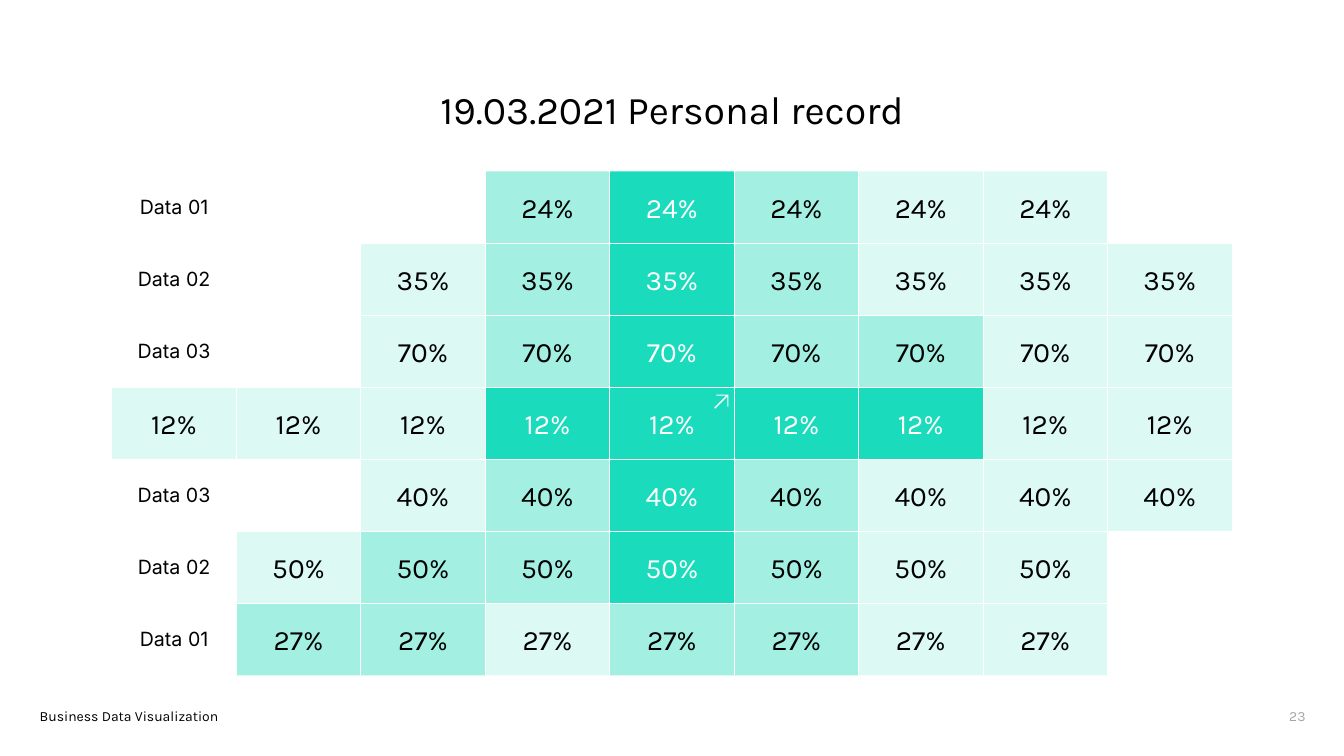
from pptx import Presentation
from pptx.dml.color import RGBColor
from pptx.enum.shapes import MSO_CONNECTOR as Link, MSO_SHAPE as Form
from pptx.enum.text import MSO_ANCHOR as Anchor, MSO_AUTO_SIZE as Fit, PP_ALIGN as Align
from pptx.oxml.ns import qn
from pptx.util import Inches, Pt
from lxml.etree import SubElement

TEAL = RGBColor(0x1A, 0xDB, 0xBB)
BLACK = RGBColor(0, 0, 0)
WHITE = RGBColor(0xFF, 0xFF, 0xFF)
GREY = RGBColor(0xA6, 0xA6, 0xA6)

# Grid of the heat map
LEFT, TOP = 1.11, 1.7
COLS, ROWS = 9, 7
WIDE, HIGH = 11.11 / COLS, 5 / ROWS

# Shade letter: share of teal in percent, text colour
SHADES = {"d": (100, WHITE), "m": (40, BLACK), "l": (15, BLACK)}
# Label, value, one shade letter per column (a dot is an empty cell)
DATA = [
    ("Data 01", "24%", "...mdmll."),
    ("Data 02", "35%", "..lmdmlll"),
    ("Data 03", "70%", "..lmdmmll"),
    (None, "12%", "lllddddll"),
    ("Data 03", "40%", "..lmdmlll"),
    ("Data 02", "50%", ".lmmdmll."),
    ("Data 01", "27%", ".mmlmmll."),
]
# Arrow outline in hundredths of an inch
ARROW = [(13, 0), (14, 0), (14, 12), (13, 12), (13, 2), (1, 14),
         (0, 13), (12, 1), (2, 1), (2, 0)]


class Board:
    def __init__(self, slide):
        self.slide = slide
        self.shapes = slide.shapes
        self.font = "Karla"

    def spot(self, col, row):
        return Inches(LEFT + col * WIDE), Inches(TOP + row * HIGH)

    def area(self, col, row, cols, rows):
        return *self.spot(col, row), Inches(cols * WIDE), Inches(rows * HIGH)

    def letter(self, shape, text, size, color, align, font=None):
        shape.text_frame.text = text
        para = shape.text_frame.paragraphs[0]
        para.alignment = align
        para.line_spacing = 1.0
        para.font.name = font or self.font
        para.font.size = Pt(size)
        para.font.color.rgb = color

    def title(self, text, *area):
        head = self.shapes.title
        head.left, head.top, head.width, head.height = self.area(*area)
        self.letter(head, text, 28, BLACK, Align.CENTER)
        head.text_frame.vertical_anchor = Anchor.TOP
        head.text_frame.auto_size = Fit.NONE

    def text(self, text, area, size, color=BLACK, align=Align.LEFT,
             font=None, wrap=False):
        box = self.shapes.add_textbox(*self.area(*area))
        box.text_frame.word_wrap = wrap
        self.letter(box, text, size, color, align, font)

    def paint(self, shape, color):
        shape.shadow.inherit = False
        shape.fill.solid()
        shape.fill.fore_color.rgb = color
        shape.line.fill.background()

    def cell(self, text, col, row, shade):
        share, color = SHADES[shade]
        box = self.shapes.add_shape(Form.RECTANGLE, *self.area(col, row, 1, 1))
        self.paint(box, TEAL)
        if share < 100:
            tint = box._element.spPr.find(qn("a:solidFill"))[0]
            SubElement(tint, qn("a:alpha"), val=str(share * 1000))
        box.text_frame.vertical_anchor = Anchor.MIDDLE
        self.letter(box, text, 20, color, Align.CENTER)

    def line(self, start, end):
        rule = self.shapes.add_connector(
            Link.STRAIGHT, *self.spot(*start), *self.spot(*end))
        rule.line.color.rgb = WHITE
        rule.line.width = Pt(0.5)
        SubElement(rule._element.spPr, qn("a:effectLst"))

    def arrow(self, col, row):
        pen = self.shapes.build_freeform(*ARROW[0], scale=Inches(0.01))
        pen.add_line_segments(ARROW[1:], close=True)
        self.paint(pen.convert_to_shape(*self.spot(col, row)), WHITE)


def main():
    deck = Presentation()
    deck.slide_width, deck.slide_height = Inches(13.33), Inches(7.5)
    board = Board(deck.slides.add_slide(deck.slide_layouts[5]))

    # Title and footer
    board.title("19.03.2021 Personal record", 1, -1.26, 7, 0.8)
    board.text("Business Data Visualization", (-0.66, 7.38, 1.64, 0.38), 10)
    board.text("23", (9.32, 7.38, 0.35, 0.38), 10, GREY, Align.RIGHT)

    # Cells and row labels
    for row, (label, value, shades) in enumerate(DATA):
        for col, shade in enumerate(shades):
            if shade in SHADES:
                board.cell(value, col, row, shade)
        if label:
            board.text(label, (0, row + 0.26, 1, 0.48), 14,
                       align=Align.CENTER, font="Inter", wrap=True)

    # Arrow in the corner of the central cell
    board.arrow(4.84, 3.1)

    # White rules between the cells
    for row in range(1, ROWS):
        board.line((0, row), (COLS, row))
    for col in range(1, COLS):
        board.line((col, 0), (col, ROWS))

    deck.save("out.pptx")


if __name__ == "__main__":
    main()
